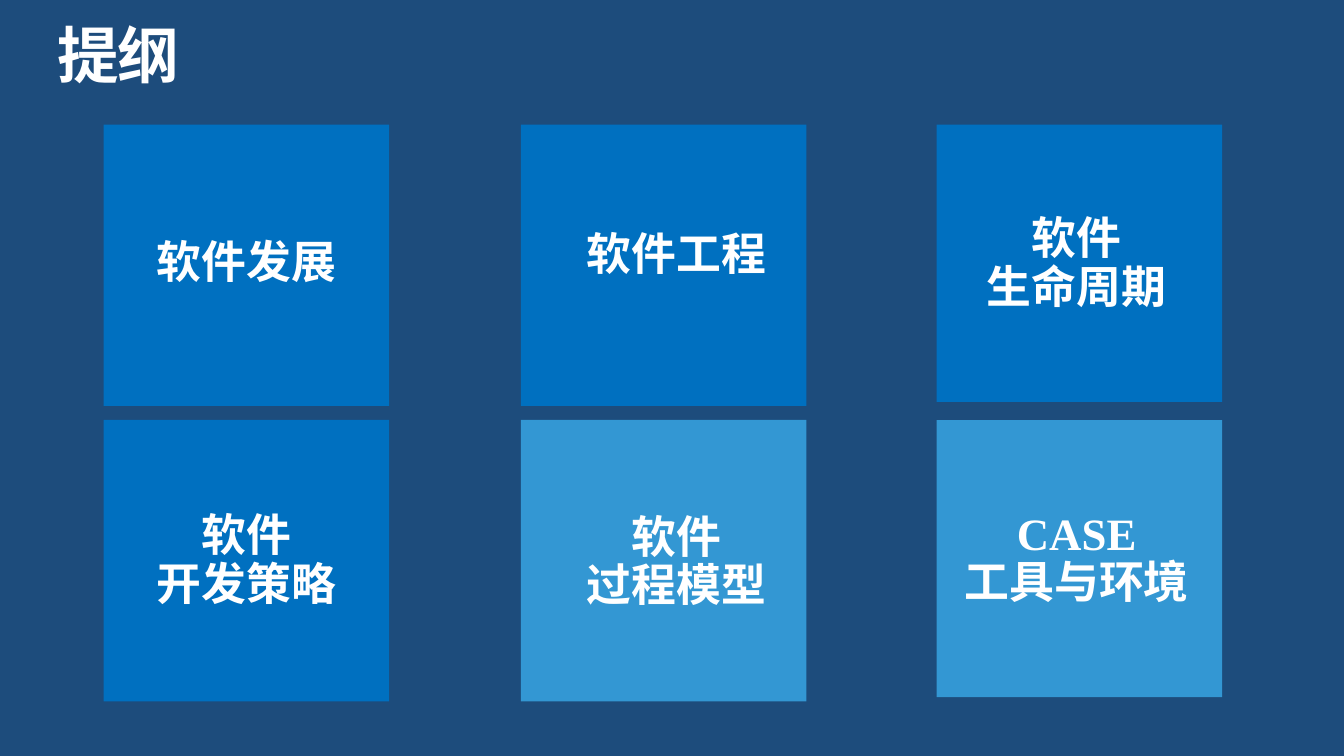
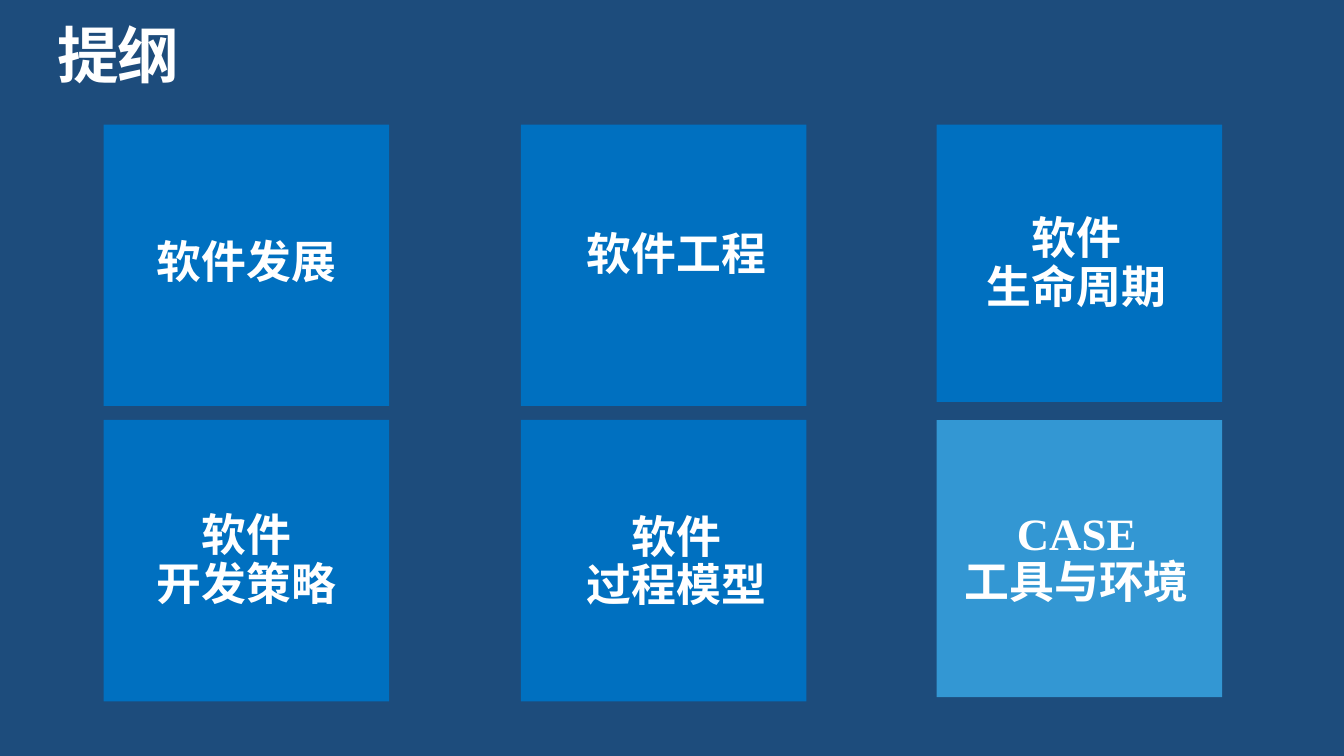
"""Build two outline slides that mark the topics covered so far."""
from dataclasses import dataclass

import lxml.etree
import pptx
import pptx.dml.color
import pptx.enum.shapes
import pptx.enum.text
import pptx.oxml.ns
import pptx.presentation
import pptx.shapes.shapetree
import pptx.slide
import pptx.text.text
import pptx.util

PX = 9525
SLIDE_WIDTH, SLIDE_HEIGHT = 960, 540
BACKGROUND, COVERED, UPCOMING, WHITE = "1D4C7C", "0070C0", "3397D3", "FFFFFF"
CJK_FONT, LATIN_FONT = "Noto Sans CJK SC", "Times New Roman"
TILE_WIDTH, LABEL_WIDTH = 204, 172
ROW_TOPS = (89, 300)
LABEL_HEIGHTS = {1: 35, 2: 78}


@dataclass(frozen=True)
class Box:
    left: int
    top: int
    width: int
    height: int

    def emu(self) -> tuple[int, int, int, int]:
        return self.left * PX, self.top * PX, self.width * PX, self.height * PX


@dataclass(frozen=True)
class Column:
    tile_left: int
    label_left: int
    tile_height: int


@dataclass(frozen=True)
class Topic:
    lines: tuple[str, ...]
    label_top: int


TITLE_BOX = Box(41, 18, 878, 48)
COLUMNS = (Column(74, 90, 201), Column(372, 397, 201), Column(669, 683, 198))
TOPICS = (
    Topic(("软件发展",), 171),
    Topic(("软件工程",), 165),
    Topic(("软件", "生命周期"), 150),
    Topic(("软件", "开发策略"), 362),
    Topic(("软件", "过程模型"), 363),
    Topic(("CASE", "工具与环境"), 361),
)
COVERED_COUNTS = (4, 5)


def rgb(value: str) -> pptx.dml.color.RGBColor:
    return pptx.dml.color.RGBColor.from_string(value)


def style_paragraph(paragraph: pptx.text.text._Paragraph, size: int, tracking: int = 0) -> None:
    name = LATIN_FONT if paragraph.text.isascii() else CJK_FONT
    paragraph.line_spacing = 0.9
    font = paragraph.font
    font.size = pptx.util.Pt(size)
    font.bold = True
    font.color.rgb = rgb(WHITE)
    font.name = name
    properties = paragraph._p.pPr.find(pptx.oxml.ns.qn("a:defRPr"))
    east_asian = lxml.etree.SubElement(properties, pptx.oxml.ns.qn("a:ea"))
    east_asian.set("typeface", name)
    if tracking:
        properties.set("spc", str(tracking))


def add_text(
    shapes: pptx.shapes.shapetree._BaseGroupShapes,
    box: Box,
    lines: tuple[str, ...],
    size: int,
    anchor: pptx.enum.text.MSO_ANCHOR,
    alignment: pptx.enum.text.PP_ALIGN,
    tracking: int = 0,
) -> None:
    frame = shapes.add_textbox(*box.emu()).text_frame
    frame.word_wrap = True
    frame.auto_size = pptx.enum.text.MSO_AUTO_SIZE.SHAPE_TO_FIT_TEXT
    frame.vertical_anchor = anchor
    frame.margin_left = frame.margin_right = frame.margin_top = frame.margin_bottom = 0
    frame.text = "\n".join(lines)
    for paragraph in frame.paragraphs:
        paragraph.alignment = alignment
        style_paragraph(paragraph, size, tracking)


def add_topic(slide: pptx.slide.Slide, index: int, topic: Topic, color: str) -> None:
    row, column_index = divmod(index, len(COLUMNS))
    column = COLUMNS[column_index]
    group = slide.shapes.add_group_shape()
    tile_box = Box(column.tile_left, ROW_TOPS[row], TILE_WIDTH, column.tile_height)
    tile = group.shapes.add_shape(pptx.enum.shapes.MSO_SHAPE.RECTANGLE, *tile_box.emu())
    tile.shadow.inherit = False
    tile.fill.solid()
    tile.fill.fore_color.rgb = rgb(color)
    tile.line.fill.background()
    label_box = Box(column.label_left, topic.label_top, LABEL_WIDTH, LABEL_HEIGHTS[len(topic.lines)])
    add_text(group.shapes, label_box, topic.lines, 24,
             pptx.enum.text.MSO_ANCHOR.MIDDLE, pptx.enum.text.PP_ALIGN.CENTER)


def add_outline_slide(presentation: pptx.presentation.Presentation, covered_count: int) -> None:
    slide = presentation.slides.add_slide(presentation.slide_layouts[6])
    slide.background.fill.solid()
    slide.background.fill.fore_color.rgb = rgb(BACKGROUND)
    add_text(slide.shapes, TITLE_BOX, ("提纲",), 33,
             pptx.enum.text.MSO_ANCHOR.TOP, pptx.enum.text.PP_ALIGN.LEFT, tracking=-80)
    for index, topic in enumerate(TOPICS):
        add_topic(slide, index, topic, COVERED if index < covered_count else UPCOMING)


def main() -> None:
    presentation = pptx.Presentation()
    presentation.slide_width = SLIDE_WIDTH * PX
    presentation.slide_height = SLIDE_HEIGHT * PX
    for covered_count in COVERED_COUNTS:
        add_outline_slide(presentation, covered_count)
    presentation.save("out.pptx")


if __name__ == "__main__":
    main()
